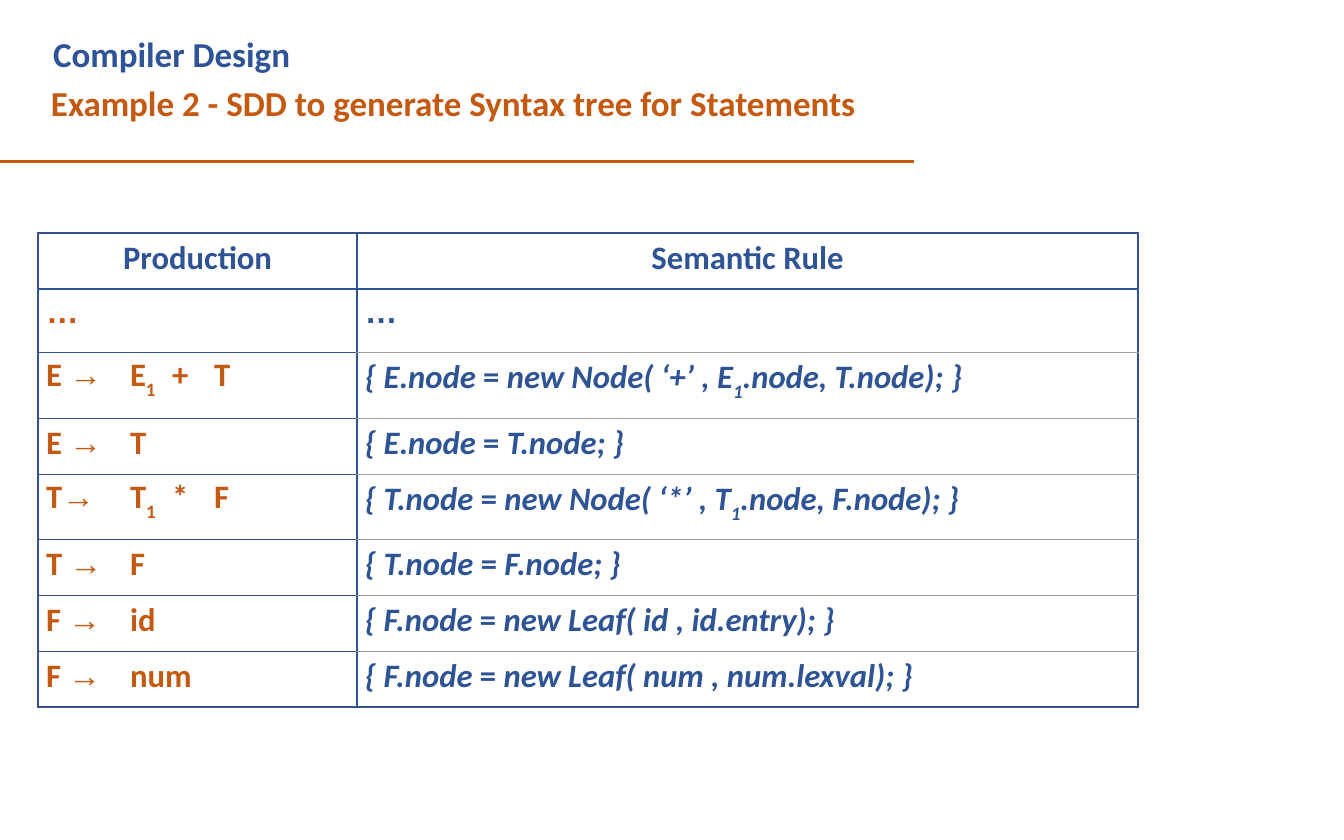
from itertools import groupby
from lxml.etree import SubElement
from pptx import Presentation
from pptx.dml.color import RGBColor
from pptx.enum.shapes import MSO_SHAPE
from pptx.enum.text import MSO_ANCHOR, MSO_AUTO_SIZE, PP_ALIGN
from pptx.oxml import parse_xml
from pptx.oxml.ns import nsdecls, qn
from pptx.util import Pt

TITLE = [("Compiler Design", "blue", 3), ("Example 2 - SDD to generate Syntax tree for Statements", "rust", 1)]
HEAD = ("Production", "Semantic Rule")
RULES = [
    ("…", "…"),
    ("E →\tE₁\t+\tT", "{ E.node = new Node( ‘+’ , E₁.node, T.node); }"),
    ("E →\tT", "{ E.node = T.node; }"),
    ("T→\tT₁\t*\tF", "{ T.node = new Node( ‘*’ , T₁.node, F.node); }"),
    ("T →\tF", "{ T.node = F.node; }"),
    ("F →\tid", "{ F.node = new Leaf( id , id.entry); }"),
    ("F →\tnum", "{ F.node = new Leaf( num , num.lexval); }"),
]
COLS = [319, 781]
ROWS = [56, 63, 66, 56, 65, 56, 56, 56]
TABS = [84, 126, 168]
COLORS = {"blue": "2F5495", "rust": "C45911", "edge": "31528E", "gray": "9E9E9E"}
THICK, THIN = 2.25, 0.75
PX = 914400 // 84


def px(*nums):
    return [n * PX for n in nums]


def style(run, color, **more):
    look = {"name": "Calibri", "size": Pt(28), "bold": True, "italic": False} | more
    for key, val in look.items():
        setattr(run.font, key, val)
    run.font.color.rgb = RGBColor.from_string(COLORS[color])


def kind(char):
    return "arial" if char in "→…" else "sub" if char == "₁" else "sign" if char == "=" else "text"


def write(para, text, color, slant):
    """Split the text at arrows, signs and subscripts, one run for each part."""
    for sort, chars in groupby(text, kind):
        run = para.add_run()
        run.text = "".join(chars).replace("₁", "1")
        style(run, color, name="Arial" if sort == "arial" else "Calibri",
              italic=slant and sort in ("text", "sub"))
        if sort == "sub":
            run._r.get_or_add_rPr().set("baseline", "-32000")


def border(cell, sides):
    props = cell._tc.get_or_add_tcPr()
    for spot, (side, (color, width)) in enumerate(sides.items()):
        props.insert(spot, parse_xml(
            f'<a:ln{side} {nsdecls("a")} w="{Pt(width)}"><a:solidFill>'
            f'<a:srgbClr val="{COLORS[color]}"/></a:solidFill></a:ln{side}>'))


def edges(row, col):
    """Give the left, right, top and bottom border of a cell."""
    inner = ("gray" if col else "blue", THIN)
    outer, head = ("edge", THICK), ("blue", THICK)
    return {
        "L": head if col else outer,
        "R": outer if col else head,
        "T": outer if row == 0 else head if row == 1 else inner,
        "B": head if row == 0 else outer if row == len(RULES) else inner,
    }


def fill_cell(cell, row, col, text):
    cell.fill.background()
    border(cell, edges(row, col))
    low = col == 0 and "₁" in text
    cell.margin_left, cell.margin_top, cell.margin_right, cell.margin_bottom = px(0, 3 if low else 5, 0, 0)
    para = cell.text_frame.paragraphs[0]
    if row == 0:
        para.alignment = PP_ALIGN.CENTER
    else:
        props = para._p.get_or_add_pPr()
        props.set("marL", str(8 * PX))
        props.set("indent", "0")
        if "\t" in text:
            stops = SubElement(props, qn("a:tabLst"))
            for pos in px(*TABS[:text.count("\t")]):
                SubElement(stops, qn("a:tab"), pos=str(pos), algn="l")
    write(para, text, "blue" if col or row == 0 else "rust", bool(col and row))


def add_title(slide):
    box = slide.shapes.title
    box.left, box.top, box.width, box.height = px(50, 24, 811, 100)
    frame = box.text_frame
    look = {"margin_left": 0, "margin_right": 0, "margin_bottom": 0, "margin_top": 8 * PX,
            "vertical_anchor": MSO_ANCHOR.TOP, "auto_size": MSO_AUTO_SIZE.NONE, "word_wrap": True}
    for key, val in look.items():
        setattr(frame, key, val)
    for num, (text, color, left) in enumerate(TITLE):
        para = frame.add_paragraph() if num else frame.paragraphs[0]
        para.alignment = PP_ALIGN.LEFT
        para.space_before = Pt(6 * num)
        para._p.get_or_add_pPr().set("marL", str(left * PX))
        run = para.add_run()
        run.text = text
        style(run, color, size=Pt(30))


def add_rule(slide):
    bar = slide.shapes.add_shape(MSO_SHAPE.RECTANGLE, *px(0, 160, 914, 3))
    bar.shadow.inherit = False
    bar.fill.solid()
    bar.fill.fore_color.rgb = RGBColor.from_string(COLORS["rust"])
    bar.line.fill.background()


def add_grid(slide):
    grid = slide.shapes.add_table(len(ROWS), len(COLS), *px(38, 233, sum(COLS), sum(ROWS))).table
    grid.first_row = grid.horz_banding = False
    for col, width in enumerate(px(*COLS)):
        grid.columns[col].width = width
    for row, (height, texts) in enumerate(zip(px(*ROWS), [HEAD] + RULES)):
        grid.rows[row].height = height
        for col, text in enumerate(texts):
            fill_cell(grid.cell(row, col), row, col, text)


def main():
    deck = Presentation()
    deck.slide_width, deck.slide_height = px(1344, 840)
    slide = deck.slides.add_slide(deck.slide_layouts[5])
    add_title(slide)
    add_rule(slide)
    add_grid(slide)
    deck.save("out.pptx")


if __name__ == "__main__":
    main()
